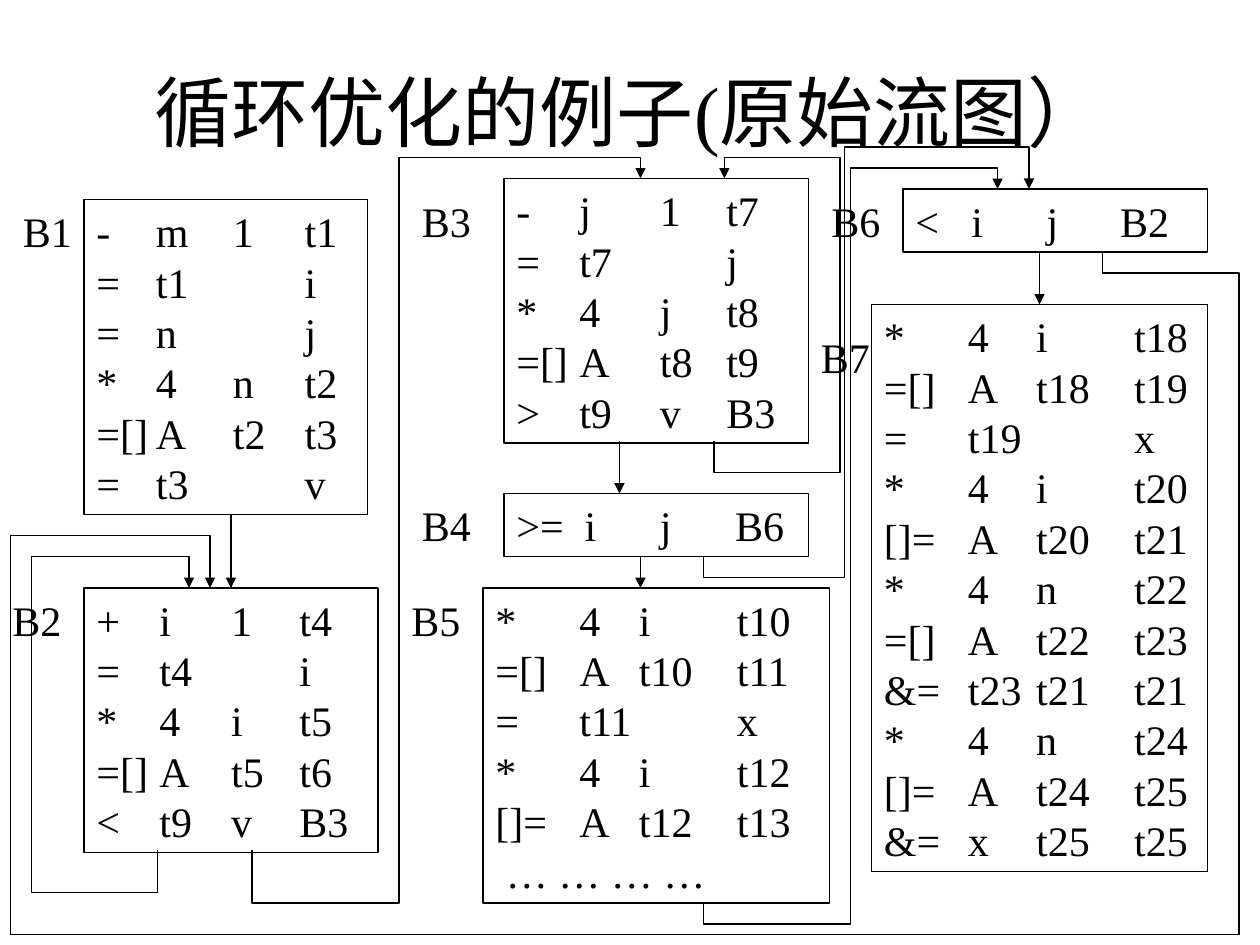
from lxml.etree import SubElement
from pptx import Presentation
from pptx.dml.color import RGBColor
from pptx.enum.shapes import MSO_CONNECTOR, MSO_SHAPE
from pptx.enum.text import MSO_ANCHOR, MSO_AUTO_SIZE, PP_ALIGN
from pptx.oxml.ns import qn
from pptx.util import Pt

COLORS = {"ink": "000000"}
INK = RGBColor.from_string(COLORS["ink"])
FONT = "Times New Roman"


def write_lines(frame, lines, stops=()):
    frame.word_wrap = True
    frame.auto_size = MSO_AUTO_SIZE.SHAPE_TO_FIT_TEXT
    frame.vertical_anchor = MSO_ANCHOR.TOP
    frame.text = "\n".join(lines)
    for paragraph in frame.paragraphs:
        paragraph.alignment = PP_ALIGN.LEFT
        paragraph.line_spacing = Pt(28.8)
        if stops:
            tabs = SubElement(paragraph._p.get_or_add_pPr(), qn("a:tabLst"))
            for stop in stops:
                SubElement(tabs, qn("a:tab"), pos=str(Pt(stop)), algn="l")
        paragraph.font.size = Pt(24)
        paragraph.font.name = FONT
        paragraph.font.color.rgb = INK


def style_arrow(arrow):
    arrow.line.color.rgb = INK
    arrow.line.width = Pt(0.75)
    SubElement(arrow.line._get_or_add_ln(), qn("a:tailEnd"), type="triangle")


prs = Presentation()
prs.slide_width, prs.slide_height = Pt(720), Pt(540)
slide = prs.slides.add_slide(prs.slide_layouts[5])
shapes = slide.shapes

title = shapes.title
title.left, title.top, title.width, title.height = Pt(54), Pt(18), Pt(612), Pt(90)
title.text_frame.text = "循环优化的例子(原始流图）"
title.text_frame.vertical_anchor = MSO_ANCHOR.MIDDLE
heading = title.text_frame.paragraphs[0]
heading.alignment = PP_ALIGN.CENTER
heading.font.size = Pt(44)
heading.font.name = FONT
heading.font.color.rgb = INK

# name: (box left, top, width, height), label position, tab stops, code
basic_blocks = {
    "B1": ((48, 114, 162, 180), (6, 114), (34, 78, 119), [
        "-\tm\t1\tt1", "=\tt1\t\ti", "=\tn\t\tj",
        "*\t4\tn\tt2", "=[]\tA\tt2\tt3", "=\tt3\t\tv"]),
    "B2": ((48, 336, 168, 151.2), (0, 336), (36, 77, 116), [
        "+\ti\t1\tt4", "=\tt4\t\ti", "*\t4\ti\tt5",
        "=[]\tA\tt5\tt6", "<\tt9\tv\tB3"]),
    "B3": ((288, 102, 174, 151.2), (234, 108), (36, 82, 120), [
        "-\tj\t1\tt7", "=\tt7\t\tj", "*\t4\tj\tt8",
        "=[]\tA\tt8\tt9", ">\tt9\tv\tB3"]),
    "B4": ((288, 282, 174, 36), (234, 282), (39, 82, 125), [">=\ti\tj\tB6"]),
    "B5": ((276, 336, 198, 180), (228, 336), (48, 82, 138), [
        "*\t4\ti\tt10", "=[]\tA\tt10\tt11", "=\tt11\t\tx",
        "*\t4\ti\tt12", "[]=\tA\tt12\tt13", " … … … …"]),
    "B6": ((516, 108, 174, 36), (468, 108), (32, 75, 117), ["<\ti\tj\tB2"]),
    "B7": ((498, 174, 192, 324), (462, 186), (48, 87, 143), [
        "*\t4\ti\tt18", "=[]\tA\tt18\tt19", "=\tt19\t\tx",
        "*\t4\ti\tt20", "[]=\tA\tt20\tt21", "*\t4\tn\tt22",
        "=[]\tA\tt22\tt23", "&=\tt23\tt21\tt21", "*\t4\tn\tt24",
        "[]=\tA\tt24\tt25", "&=\tx\tt25\tt25"]),
}
boxes = {}
for name, (bounds, label_at, stops, code) in basic_blocks.items():
    box = shapes.add_shape(MSO_SHAPE.RECTANGLE, *map(Pt, bounds))
    box.shadow.inherit = False
    box.fill.background()
    box.line.color.rgb = INK
    box.line.width = Pt(0.75)
    write_lines(box.text_frame, code, stops)
    boxes[name] = box

fall_throughs = [(132, 294, 336), (354, 252, 282), (366, 318, 336), (594, 144, 174)]
for x, top, bottom in fall_throughs:
    step = shapes.add_connector(MSO_CONNECTOR.STRAIGHT, Pt(x), Pt(top), Pt(x), Pt(bottom))
    SubElement(step._element.spPr, qn("a:effectLst"))
    style_arrow(step)
step.end_connect(boxes["B7"], 0)

jumps = [
    [(144, 486), (144, 516), (228, 516), (228, 90), (366, 90), (366, 102)],
    [(90, 486), (90, 510), (18, 510), (18, 318), (108, 318), (108, 336)],
    [(408, 252), (408, 270), (480, 270), (480, 90), (414, 90), (414, 102)],
    [(402, 516), (402, 528), (486, 528), (486, 96), (570, 96), (570, 108)],
    [(402, 318), (402, 330), (482.4, 330), (482.4, 84), (588, 84), (588, 108)],
    [(630, 144), (630, 156), (708, 156), (708, 534), (6, 534), (6, 306),
     (120, 306), (120, 336)],
]
for route in jumps:
    start, *corners = [(Pt(x), Pt(y)) for x, y in route]
    builder = shapes.build_freeform(*start)
    builder.add_line_segments(corners, close=False)
    jump = builder.convert_to_shape()
    jump.shadow.inherit = False
    jump.fill.background()
    style_arrow(jump)

for name, (_, (left, top), _, _) in basic_blocks.items():
    label = shapes.add_textbox(Pt(left), Pt(top), Pt(48), Pt(36))
    write_lines(label.text_frame, [name])

prs.save("out.pptx")
